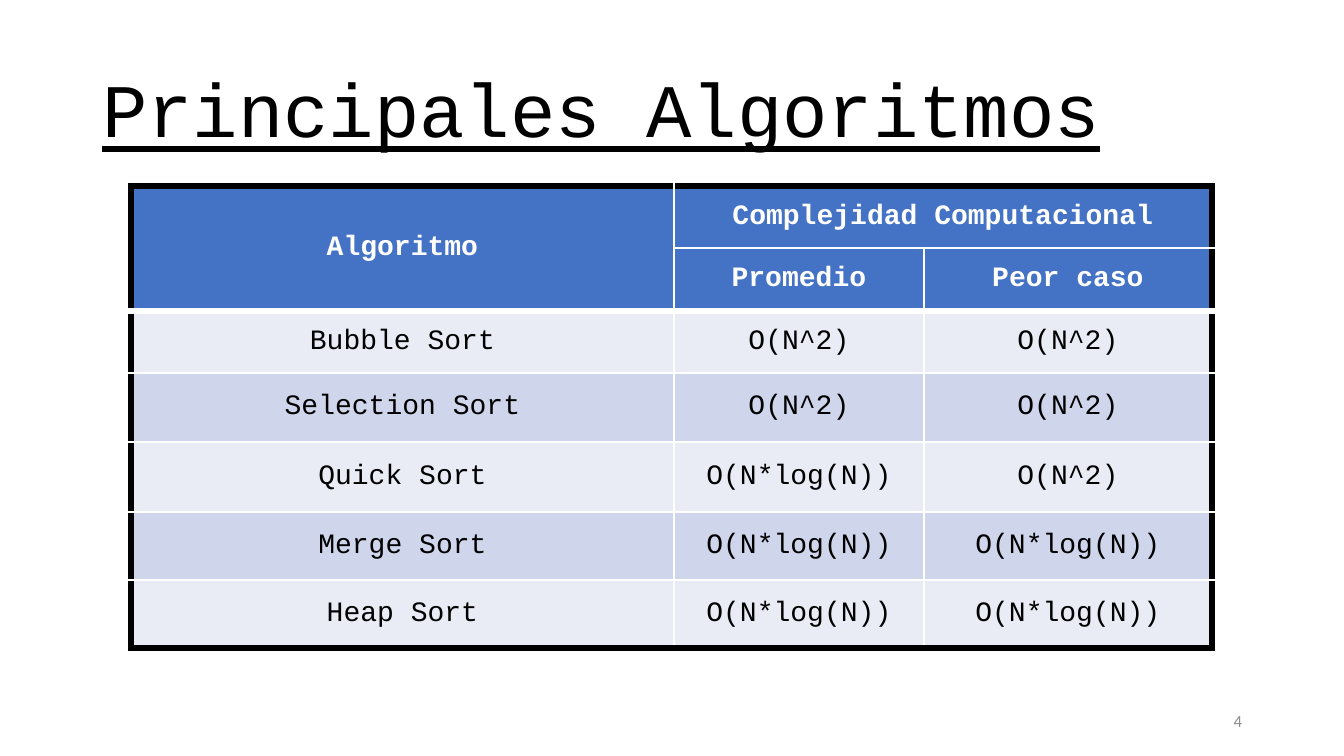
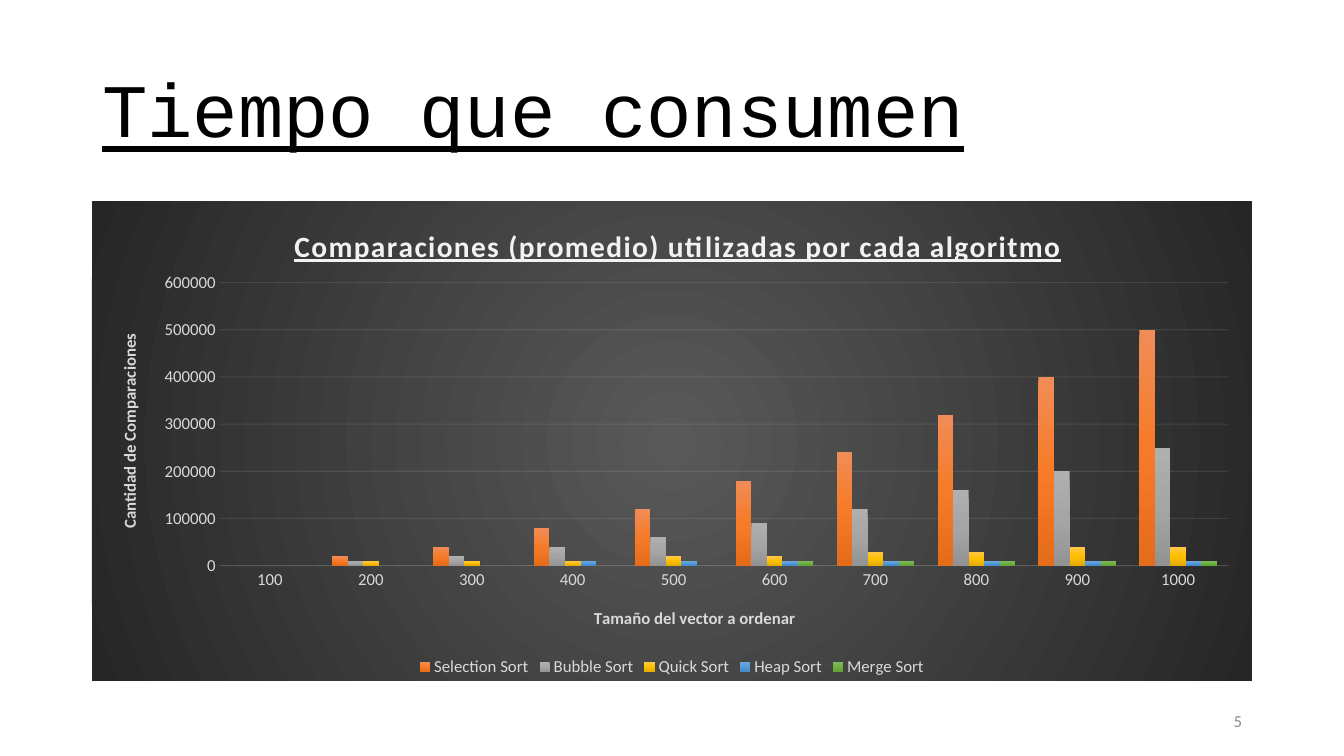
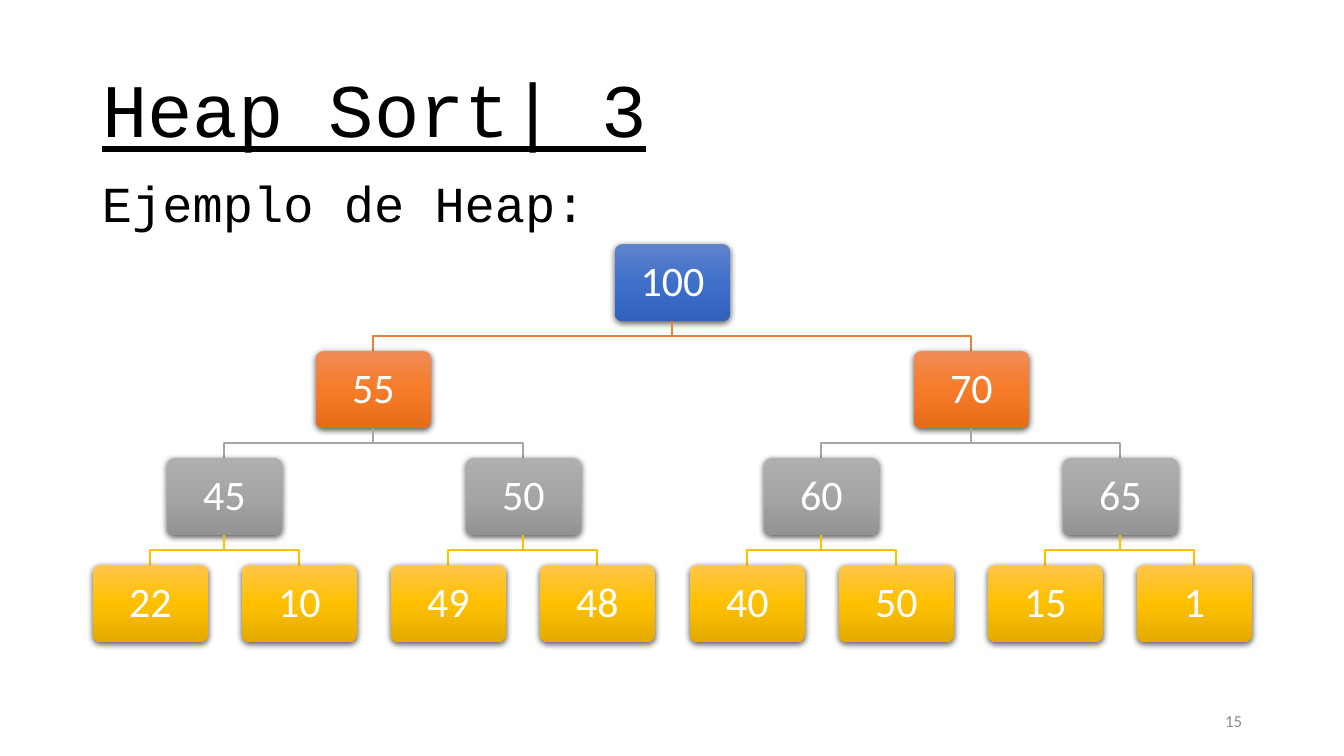
import dataclasses
import typing

import pptx
import pptx.chart.chart
import pptx.chart.data
import pptx.dml.color
import pptx.enum.chart
import pptx.enum.shapes
import pptx.enum.text
import pptx.oxml
import pptx.oxml.ns
import pptx.presentation
import pptx.slide
import pptx.text.text
import pptx.util

ALIGN = pptx.enum.text.PP_ALIGN
ANCHOR = pptx.enum.text.MSO_ANCHOR
SHAPE = pptx.enum.shapes.MSO_SHAPE
qn = pptx.oxml.ns.qn
SCALE = 914400 / 100.8  # EMU in one px


# Theme and records
@dataclasses.dataclass(frozen=True)
class Look:
    face: str
    size: int
    color: str
    bold: bool = False
    under: bool = False


@dataclasses.dataclass(frozen=True)
class Theme:
    mono: str = "Courier New"
    sans: str = "Calibri"
    black: str = "000000"
    white: str = "FFFFFF"
    pale: str = "D9D9D9"
    light: str = "F2F2F2"
    head: str = "4472C4"
    bands: tuple[str, ...] = ("E9EBF5", "CFD5EA")
    thick: float = 4.5
    thin: float = 2.25
    title: Look = Look(mono, 54, black, under=True)
    lead: Look = Look(mono, 36, black)
    label: Look = Look(mono, 20, white, bold=True)
    cell: Look = Look(mono, 20, black)
    node: Look = Look(sans, 30, white)
    page: Look = Look(sans, 12, "8C8C8C")
    plot: Look = Look(sans, 21, light, bold=True, under=True)
    axis: Look = Look(sans, 12, pale, bold=True)
    tick: Look = Look(sans, 12, pale)
    blue: tuple[str, ...] = ("6183CB", "3E70CA", "3062BB")
    orange: tuple[str, ...] = ("F18C57", "F67B28", "E56C19")
    gray: tuple[str, ...] = ("AFAFAF", "A5A5A5", "939393")
    gold: tuple[str, ...] = ("FFC64B", "FFC000", "E3AB00")
    sky: tuple[str, ...] = ("71A6DB", "559BDB", "448ACA")
    green: tuple[str, ...] = ("81B861", "6FB242", "62A336")
    dark: tuple[str, ...] = ("595959", "262626")


T = Theme()


class Box(typing.NamedTuple):
    x: int
    y: int
    w: int
    h: int


class Row(typing.NamedTuple):
    height: int
    cells: tuple[str, str, str]


class Series(typing.NamedTuple):
    name: str
    tens: tuple[int, ...]  # values in units of 10000
    ramp: tuple[str, ...]


class Level(typing.NamedTuple):
    keys: tuple[int, ...]
    ramp: tuple[str, ...]
    link: str


# Shared helpers
def px(n: int) -> pptx.util.Emu:
    return pptx.util.Emu(round(n * SCALE))


def rgb(code: str) -> pptx.dml.color.RGBColor:
    return pptx.dml.color.RGBColor.from_string(code)


def xml(text: str) -> typing.Any:
    """Build an element from text whose first tag ends with a space mark."""
    return pptx.oxml.parse_xml(text.replace("@", pptx.oxml.ns.nsdecls("a", "c"), 1))


def dress(font: pptx.text.text.Font, look: Look) -> None:
    font.name = look.face
    font.size = pptx.util.Pt(look.size)
    font.color.rgb = rgb(look.color)
    font.bold = look.bold
    font.underline = look.under


def write(frame: pptx.text.text.TextFrame, text: str, look: Look,
          align: ALIGN = ALIGN.LEFT, lead: float = 1.0) -> None:
    frame.text = text
    para = frame.paragraphs[0]
    para.alignment = align
    para.line_spacing = lead
    dress(para.runs[0].font, look)


def label(page: pptx.slide.Slide, box: Box, text: str, look: Look,
          align: ALIGN, anchor: ANCHOR) -> None:
    frame = page.shapes.add_textbox(*map(px, box)).text_frame
    frame.word_wrap = True
    frame.vertical_anchor = anchor
    write(frame, text, look, align)


def grad(ramp: tuple[str, ...], tail: str = '<a:lin ang="5400000" scaled="0"/>') -> str:
    step = 100000 // (len(ramp) - 1)
    stops = "".join(f'<a:gs pos="{i * step}"><a:srgbClr val="{code}"/></a:gs>'
                    for i, code in enumerate(ramp))
    return f"<a:gradFill @><a:gsLst>{stops}</a:gsLst>{tail}</a:gradFill>"


def blend(node: typing.Any, ramp: tuple[str, ...]) -> None:
    old = next(node.iter(qn("a:gradFill")))
    old.getparent().replace(old, xml(grad(ramp)))


def start(deck: pptx.presentation.Presentation, title: str, number: int) -> pptx.slide.Slide:
    page = deck.slides.add_slide(deck.slide_layouts[5])
    head = page.shapes.title
    head.left, head.top, head.width, head.height = map(px, Box(92, 40, 1160, 146))
    head.text_frame.vertical_anchor = ANCHOR.MIDDLE
    write(head.text_frame, title, T.title, lead=0.9)
    label(page, Box(950, 701, 302, 40), str(number), T.page, ALIGN.RIGHT, ANCHOR.MIDDLE)
    return page


# Table of complexities
SQUARE, LOG = "O(N^2)", "O(N*log(N))"
HEADS = 2
COLS = (543, 250, 288)
ROWS = (
    Row(62, ("Algoritmo", "Complejidad Computacional", "")),
    Row(63, ("", "Promedio", "Peor caso")),
    Row(62, ("Bubble Sort", SQUARE, SQUARE)),
    Row(69, ("Selection Sort", SQUARE, SQUARE)),
    Row(70, ("Quick Sort", LOG, SQUARE)),
    Row(68, ("Merge Sort", LOG, LOG)),
    Row(68, ("Heap Sort", LOG, LOG)),
)


def border(side: str, color: str, width: float) -> typing.Any:
    return xml(f'<a:ln{side} @ w="{pptx.util.Pt(width)}"><a:solidFill>'
               f'<a:srgbClr val="{color}"/></a:solidFill></a:ln{side}>')


def draw_table(page: pptx.slide.Slide) -> None:
    box = Box(131, 186, sum(COLS), sum(row.height for row in ROWS))
    frame = page.shapes.add_table(len(ROWS), len(COLS), *map(px, box))
    table = frame.table
    table.first_row = table.horz_banding = False
    for col, width in zip(table.columns, COLS):
        col.width = px(width)
    for line, row in zip(table.rows, ROWS):
        line.height = px(row.height)
    table.cell(0, 0).merge(table.cell(1, 0))
    table.cell(0, 1).merge(table.cell(0, 2))

    for i, (cell, node) in enumerate(zip(table.iter_cells(), frame.element.iter(qn("a:tc")))):
        if cell.is_spanned:
            continue
        r, c = divmod(i, len(COLS))
        top = r < HEADS
        cell.vertical_anchor = ANCHOR.MIDDLE
        write(cell.text_frame, ROWS[r].cells[c], T.label if top else T.cell, ALIGN.CENTER)
        low, right = r + cell.span_height, c + cell.span_width
        sides = (("L", c == 0, False), ("R", right == len(COLS), False),
                 ("T", r == 0, r == HEADS), ("B", low == len(ROWS), low == HEADS))
        for side, outer, heavy in sides:
            node.find(qn("a:tcPr")).append(border(
                side, T.black if outer else T.white, T.thick if outer or heavy else T.thin))
        cell.fill.solid()
        cell.fill.fore_color.rgb = rgb(T.head if top else T.bands[(r - HEADS) % 2])


# Chart of comparisons
SERIES = (
    Series("Selection Sort", (0, 2, 4, 8, 12, 18, 24, 32, 40, 50), T.orange),
    Series("Bubble Sort", (0, 1, 2, 4, 6, 9, 12, 16, 20, 25), T.gray),
    Series("Quick Sort", (0, 1, 1, 1, 2, 2, 3, 3, 4, 4), T.gold),
    Series("Heap Sort", (0, 0, 0, 1, 1, 1, 1, 1, 1, 1), T.sky),
    Series("Merge Sort", (0, 0, 0, 0, 0, 1, 1, 1, 1, 1), T.green),
)


def place(node: typing.Any, inner: bool = False, **parts: float) -> None:
    """Give a title or the plot area a fixed place, in parts of the chart."""
    for old in node.findall(qn("c:layout")):
        node.remove(old)
    target = '<c:layoutTarget val="inner"/>' if inner else ""
    modes = '<c:xMode val="edge"/><c:yMode val="edge"/>'
    sizes = "".join(f'<c:{key} val="{part}"/>' for key, part in parts.items())
    node.insert(0 if node.find(qn("c:tx")) is None else 1, xml(
        f"<c:layout @><c:manualLayout>{target}{modes}{sizes}</c:manualLayout></c:layout>"))


def draw_axes(chart: pptx.chart.chart.Chart) -> None:
    cats, vals = chart.category_axis, chart.value_axis
    for axis, text in ((cats, "Tamaño del vector a ordenar"),
                       (vals, "Cantidad de Comparaciones")):
        axis.major_tick_mark = axis.minor_tick_mark = pptx.enum.chart.XL_TICK_MARK.NONE
        dress(axis.tick_labels.font, T.tick)
        write(axis.axis_title.text_frame, text, T.axis, ALIGN.CENTER)
    vals.minimum_scale, vals.maximum_scale, vals.major_unit = 0, 600000, 100000
    vals.has_major_gridlines = True
    for line in (cats.format.line, vals.major_gridlines.format.line):
        line.color.rgb = rgb(T.light)
        line.width = pptx.util.Pt(0.75)
    for tint in chart.element.xpath(".//a:ln//a:srgbClr"):
        tint.append(xml('<a:alpha @ val="10000"/>'))
    vals.format.line.fill.background()


def draw_chart(page: pptx.slide.Slide) -> None:
    data = pptx.chart.data.CategoryChartData()
    data.categories = [str(n) for n in range(100, 1001, 100)]
    for item in SERIES:
        data.add_series(item.name, [n * 10000 for n in item.tens])
    chart = page.shapes.add_chart(pptx.enum.chart.XL_CHART_TYPE.COLUMN_CLUSTERED,
                                  *map(px, Box(92, 201, 1160, 480)), data).chart
    dress(chart.font, T.tick)
    chart.has_title = True
    write(chart.chart_title.text_frame,
          "Comparaciones (promedio) utilizadas por cada algoritmo", T.plot, ALIGN.CENTER)
    chart.has_legend = True
    chart.legend.position = pptx.enum.chart.XL_LEGEND_POSITION.BOTTOM
    chart.legend.include_in_layout = False
    dress(chart.legend.font, T.tick)
    draw_axes(chart)

    # Columns
    plot = chart.plots[0]
    plot.gap_width, plot.overlap = 150, 0
    plot.vary_by_categories = False
    for bars, node, item in zip(plot.series, chart.element.iter(qn("c:ser")), SERIES):
        bars.format.fill.gradient()
        blend(node, item.ramp)

    # Places of the plot and its titles
    root = chart.element
    place(next(root.iter(qn("c:plotArea"))), inner=True, x=0.11, y=0.17, w=0.87, h=0.59)
    head, under, aside = root.iter(qn("c:title"))
    head.find(".//" + qn("a:r")).find(qn("a:rPr")).set("spc", "100")
    place(head, x=0.17, y=0.04)
    place(under, x=0.43, y=0.84)
    place(aside, x=0.02, y=0.27)
    turn = next(aside.iter(qn("a:bodyPr")))
    turn.set("rot", "-5400000")
    turn.set("vert", "horz")

    # Dark round backdrop
    tail = ('<a:path path="circle"><a:fillToRect l="50000" t="50000" r="50000" b="50000"/>'
            "</a:path>")
    fill = grad(T.dark, tail).replace(" @", "")
    root.find(qn("c:chart")).addnext(
        xml(f"<c:spPr @>{fill}<a:ln><a:noFill/></a:ln></c:spPr>"))


# Heap tree
LEVELS = (
    Level((100,), T.blue, ""),
    Level((55, 70), T.orange, "ED7D31"),
    Level((45, 50, 60, 65), T.gray, "A5A5A5"),
    Level((22, 10, 49, 48, 40, 50, 15, 1), T.gold, "FFC000"),
)
NODE = Box(75, 244, 115, 77)  # left edge of the tree, its top, node size
SPAN, PITCH = 1194, 107


def center(depth: int, i: int) -> int:
    return NODE.x + round((i + 0.5) * SPAN / 2 ** depth)


def draw_link(page: pptx.slide.Slide, depth: int, i: int, color: str) -> None:
    above, here = center(depth - 1, i // 2), center(depth, i)
    end = NODE.y + depth * PITCH
    begin = end - PITCH + NODE.h
    mid = (begin + end) // 2
    pen = page.shapes.build_freeform(above, begin, scale=SCALE)
    pen.add_line_segments([(above, mid), (here, mid), (here, end)], close=False)
    link = pen.convert_to_shape()
    link.shadow.inherit = False
    link.fill.background()
    link.line.color.rgb = rgb(color)
    link.line.width = pptx.util.Pt(1)


def draw_node(page: pptx.slide.Slide, depth: int, i: int, level: Level) -> None:
    box = Box(center(depth, i) - NODE.w // 2, NODE.y + depth * PITCH, NODE.w, NODE.h)
    node = page.shapes.add_shape(SHAPE.ROUNDED_RECTANGLE, *map(px, box))
    node.adjustments[0] = 0.1
    node.line.fill.background()
    node.fill.gradient()
    blend(node.element, level.ramp)
    node.shadow.inherit = False
    next(node.element.iter(qn("a:effectLst"))).append(xml(
        '<a:outerShdw @ blurRad="57150" dist="19050" dir="5400000" algn="ctr" rotWithShape="0">'
        f'<a:srgbClr val="{T.black}"><a:alpha val="63000"/></a:srgbClr></a:outerShdw>'))
    frame = node.text_frame
    frame.vertical_anchor = ANCHOR.MIDDLE
    frame.margin_left = frame.margin_right = frame.margin_top = frame.margin_bottom = px(12)
    write(frame, str(level.keys[i]), T.node, ALIGN.CENTER, lead=0.9)


def draw_tree(page: pptx.slide.Slide) -> None:
    for depth, level in enumerate(LEVELS):
        for i in range(len(level.keys)):
            if depth:
                draw_link(page, depth, i, level.link)
            draw_node(page, depth, i, level)


# Slides
def main() -> None:
    deck = pptx.Presentation()
    deck.slide_width, deck.slide_height = px(1344), px(756)
    draw_table(start(deck, "Principales Algoritmos", 4))
    draw_chart(start(deck, "Tiempo que consumen", 5))
    heap = start(deck, "Heap Sort| 3", 15)
    draw_tree(heap)
    label(heap, Box(92, 167, 1160, 71), "Ejemplo de Heap:", T.lead, ALIGN.LEFT, ANCHOR.TOP)
    deck.save("out.pptx")


if __name__ == "__main__":
    main()
